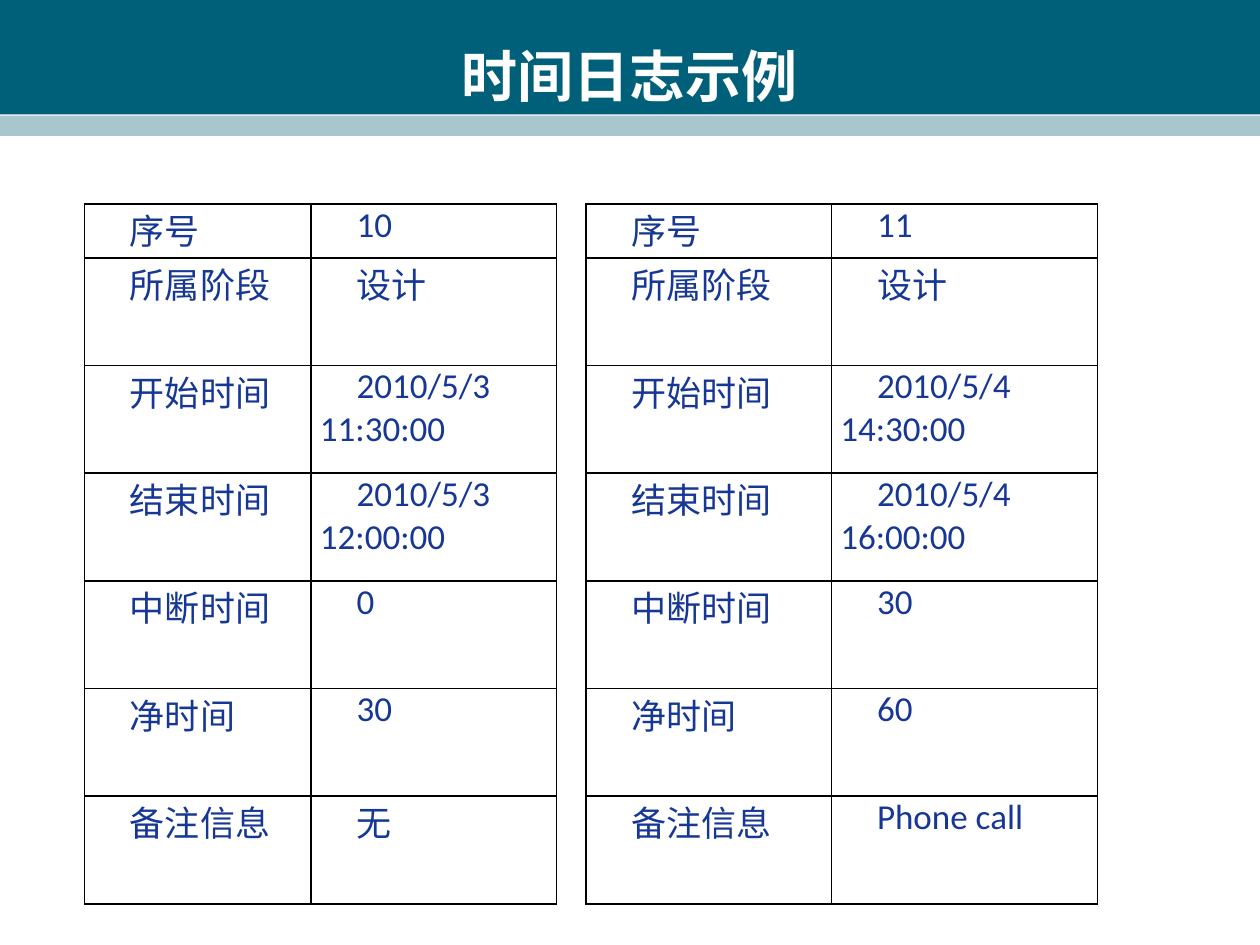
from lxml import etree
from pptx import Presentation
from pptx import util as u
from pptx.dml.color import RGBColor
from pptx.enum import shapes, text
from pptx.oxml import ns

TEAL = RGBColor(0x00, 0x60, 0x7A)
PALE_TEAL = RGBColor(0xA9, 0xC6, 0xCC)
WHITE = RGBColor(0xFF, 0xFF, 0xFF)
NAVY = RGBColor(0x16, 0x37, 0x94)
BLACK = RGBColor(0x00, 0x00, 0x00)

FIELDS = ["序号", "所属阶段", "开始时间", "结束时间", "中断时间", "净时间", "备注信息"]
# left edge, column widths (cm), logged values
LOGS = [
    (1.7, (4.57, 4.95),
     ["10", "设计", "2010/5/3 11:30:00", "2010/5/3 12:00:00", "0", "30", "无"]),
    (11.81, (4.95, 5.36),
     ["11", "设计", "2010/5/4 14:30:00", "2010/5/4 16:00:00", "30", "60", "Phone call"]),
]
LOG_TOP = 4.11
ROW_HEIGHTS = [1.09] + [2.17] * (len(FIELDS) - 1)


class SlideBuilder:
    title_font = "DejaVu Sans"
    body_font = "Calibri"
    title_size = u.Pt(32)
    body_size = u.Pt(20)
    cell_margin = u.Cm(0.18)
    first_line_indent = u.Cm(0.74)
    border_width = u.Pt(1)

    def __init__(self, slide):
        self.slide = slide

    def band(self, top, height, color):
        """Draw a full-width strip behind the title."""
        strip = self.slide.shapes.add_shape(
            shapes.MSO_SHAPE.RECTANGLE, 0, u.Cm(top), u.Cm(25.4), u.Cm(height))
        strip.shadow.inherit = False
        strip.fill.solid()
        strip.fill.fore_color.rgb = color
        strip.line.fill.background()
        title = self.slide.shapes.title
        title._element.addprevious(strip._element)

    def title(self, wording):
        title = self.slide.shapes.title
        title.left, title.top = u.Cm(1.27), u.Cm(-0.08)
        title.width, title.height = u.Cm(22.86), u.Cm(3.18)
        frame = title.text_frame
        frame.text = wording
        frame.vertical_anchor = text.MSO_ANCHOR.MIDDLE
        heading = frame.paragraphs[0]
        heading.alignment = text.PP_ALIGN.CENTER
        self.set_font(heading, self.title_font, self.title_size, WHITE, bold=True)

    def set_font(self, paragraph, name, size, color, bold=False):
        font = paragraph.font
        font.name, font.size, font.bold = name, size, bold
        font.color.rgb = color

    def table(self, left, top, widths, heights, rows):
        frame = self.slide.shapes.add_table(
            len(heights), len(widths), u.Cm(left), u.Cm(top),
            u.Cm(sum(widths)), u.Cm(sum(heights)))
        grid = frame.table
        grid.first_row = grid.horz_banding = False
        for column, width in zip(grid.columns, widths):
            column.width = u.Cm(width)
        for row, height, entries in zip(grid.rows, heights, rows):
            row.height = u.Cm(height)
            for cell, entry in zip(row.cells, entries):
                self.cell(cell, entry)

    def cell(self, cell, entry):
        cell.text = entry
        cell.margin_left = cell.margin_right = self.cell_margin
        cell.margin_top = cell.margin_bottom = 0
        self.borders(cell)
        cell.fill.background()
        line = cell.text_frame.paragraphs[0]
        line.alignment = text.PP_ALIGN.JUSTIFY
        line._p.get_or_add_pPr().set("indent", str(self.first_line_indent))
        self.set_font(line, self.body_font, self.body_size, NAVY)

    def borders(self, cell):
        properties = cell._tc.get_or_add_tcPr()
        for side in ("a:lnL", "a:lnR", "a:lnT", "a:lnB"):
            edge = etree.SubElement(properties, ns.qn(side), w=str(self.border_width))
            fill = etree.SubElement(edge, ns.qn("a:solidFill"))
            etree.SubElement(fill, ns.qn("a:srgbClr"), val=str(BLACK))


def main():
    deck = Presentation()
    deck.slide_width, deck.slide_height = u.Cm(25.4), u.Cm(19.05)
    builder = SlideBuilder(deck.slides.add_slide(deck.slide_layouts[5]))
    builder.band(0, 2.31, TEAL)
    builder.band(2.33, 0.41, PALE_TEAL)
    builder.title("时间日志示例")
    for left, widths, values in LOGS:
        builder.table(left, LOG_TOP, widths, ROW_HEIGHTS, zip(FIELDS, values))
    deck.save("out.pptx")


if __name__ == "__main__":
    main()
